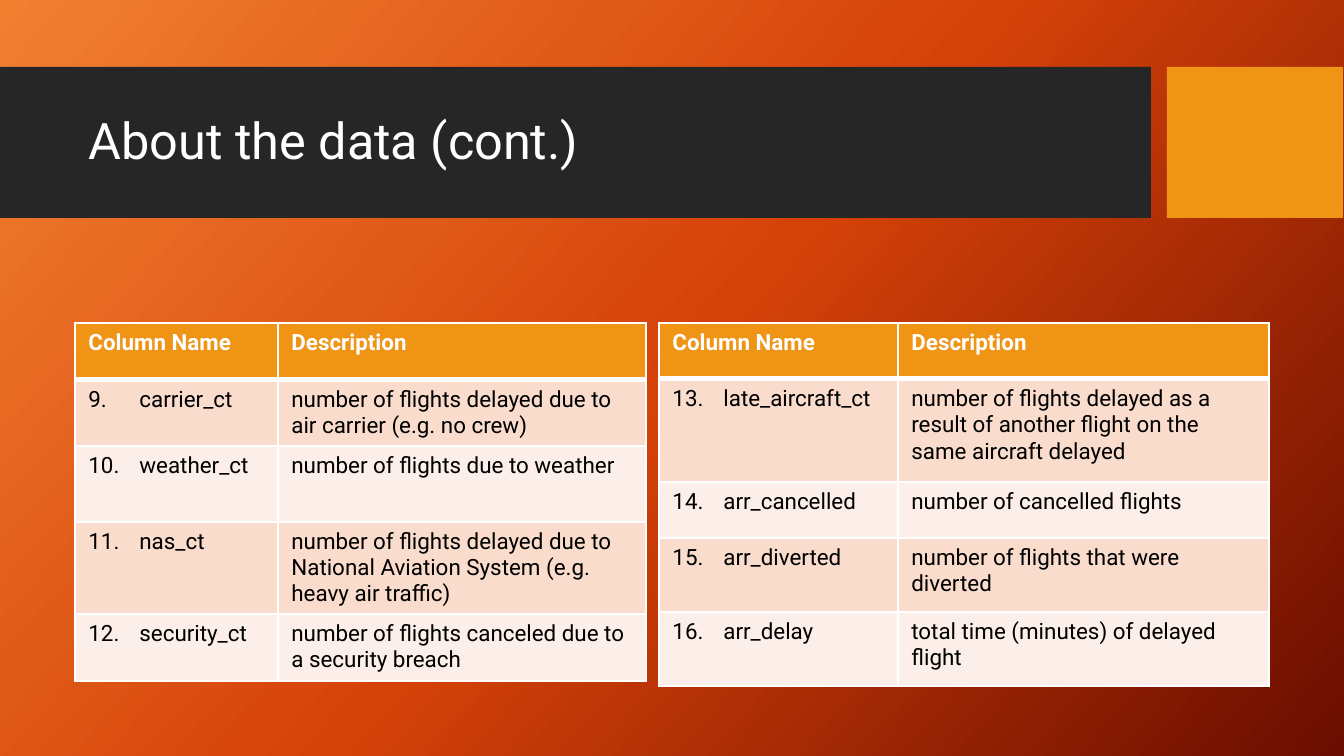
from copy import deepcopy

from lxml.etree import SubElement
from pptx import Presentation
from pptx.dml.color import RGBColor
from pptx.enum.shapes import MSO_SHAPE
from pptx.enum.text import MSO_ANCHOR, MSO_AUTO_SIZE, PP_ALIGN
from pptx.oxml.ns import qn
from pptx.util import Emu, Pt

SCALE = 914400 / 134.4
FONT = "Roboto"
WHITE, BLACK, DARK, ORANGE = "FFFFFF", "000000", "262626", "F09415"
BAND_FILLS = ["F9DCCC", "FCEEE8"]
GRADIENT = [(0, "F18031"), (0.5, "D54209"), (1, "6A0D00")]
GRADIENT_ANGLE = 42

TITLE = "About the data (cont.)"
BARS = [((0, 67, 1151, 151), DARK), ((1167, 67, 176, 151), ORANGE)]
HEADERS = ["Column Name", "Description"]
TABLE_TOP = 323
TABLES = [
    {
        "left": 75, "columns": [203, 368], "heights": [57, 66, 76, 92, 67], "first": 9,
        "rows": [
            ("carrier_ct", "number of flights delayed due to air carrier (e.g. no crew)"),
            ("weather_ct", "number of flights due to weather"),
            ("nas_ct", "number of flights delayed due to National Aviation System "
                       "(e.g. heavy air traffic)"),
            ("security_ct", "number of flights canceled due to a security breach"),
        ],
    },
    {
        "left": 659, "columns": [239, 371], "heights": [56, 103, 56, 74, 74], "first": 13,
        "rows": [
            ("late_aircraft_ct", "number of flights delayed as a result of another flight "
                                 "on the same aircraft delayed"),
            ("arr_cancelled", "number of cancelled flights"),
            ("arr_diverted", "number of flights that were diverted"),
            ("arr_delay", "total time (minutes) of delayed flight"),
        ],
    },
]


def px(length):
    return Emu(round(length * SCALE))


def color(value):
    return RGBColor.from_string(value)


def write(frame, text, *, size, fill, bold=False, number=None):
    """Fill a text frame with one paragraph, numbered if a number is given."""
    para = frame.paragraphs[0]
    if number is not None:
        properties = para._p.get_or_add_pPr()
        properties.set("marL", str(px(51)))
        properties.set("indent", str(-px(51)))
        SubElement(properties, qn("a:buFont"), typeface="+mj-lt")
        SubElement(properties, qn("a:buAutoNum"), type="arabicPeriod", startAt=str(number))
    span = para.add_run()
    span.text = text
    span.font.name = FONT
    span.font.size = Pt(size)
    span.font.bold = bold
    span.font.color.rgb = color(fill)
    return para


def paint_background(slide):
    fill = slide.background.fill
    fill.gradient()
    stop_list = fill._fill._gradFill.find(qn("a:gsLst"))
    while len(stop_list) < len(GRADIENT):
        stop_list.append(deepcopy(stop_list[-1]))
    for stop, (position, value) in zip(fill.gradient_stops, GRADIENT):
        stop.position = position
        stop.color.rgb = color(value)
    fill.gradient_angle = 360 - GRADIENT_ANGLE


def add_bar(slide, place, fill):
    bar = slide.shapes.add_shape(MSO_SHAPE.RECTANGLE, *map(px, place))
    bar.shadow.inherit = False
    bar.fill.solid()
    bar.fill.fore_color.rgb = color(fill)
    bar.line.fill.background()


def add_title(slide):
    title = slide.shapes.title
    title.left, title.top, title.width, title.height = map(px, (75, 83, 1060, 120))
    slide.shapes._spTree.append(title._element)
    frame = title.text_frame
    frame.word_wrap = True
    frame.auto_size = MSO_AUTO_SIZE.NONE
    frame.vertical_anchor = MSO_ANCHOR.MIDDLE
    para = write(frame, TITLE, size=27, fill=WHITE)
    para.alignment = PP_ALIGN.LEFT
    para.line_spacing = 0.9


def style_cell(cell, fill, top=1, bottom=1):
    """Draw white borders of the given point widths, then the fill."""
    properties = cell._tc.get_or_add_tcPr()
    for side, width in [("L", 1), ("R", 1), ("T", top), ("B", bottom)]:
        line = SubElement(properties, qn(f"a:ln{side}"), w=str(Pt(width)))
        SubElement(SubElement(line, qn("a:solidFill")), qn("a:srgbClr"), val=WHITE)
    cell.fill.solid()
    cell.fill.fore_color.rgb = color(fill)


def add_data_table(slide, data):
    columns, heights = data["columns"], data["heights"]
    place = (data["left"], TABLE_TOP, sum(columns), sum(heights))
    table = slide.shapes.add_table(len(heights), len(columns), *map(px, place)).table
    for column, width in zip(table.columns, columns):
        column.width = px(width)
    for row, height in zip(table.rows, heights):
        row.height = px(height)
    for index, header in enumerate(HEADERS):
        cell = table.cell(0, index)
        style_cell(cell, ORANGE, bottom=3)
        write(cell.text_frame, header, size=12, fill=WHITE, bold=True)
    for row, texts in enumerate(data["rows"], start=1):
        numbers = (data["first"] + row - 1, None)
        for index, (text, number) in enumerate(zip(texts, numbers)):
            cell = table.cell(row, index)
            style_cell(cell, BAND_FILLS[(row - 1) % 2], top=3 if row == 1 else 1)
            write(cell.text_frame, text, size=12, fill=BLACK, number=number)


def main():
    deck = Presentation()
    deck.slide_width, deck.slide_height = px(1344), px(756)
    page = deck.slides.add_slide(deck.slide_layouts[5])
    paint_background(page)
    for place, fill in BARS:
        add_bar(page, place, fill)
    add_title(page)
    for data in TABLES:
        add_data_table(page, data)
    deck.save("out.pptx")


if __name__ == "__main__":
    main()
